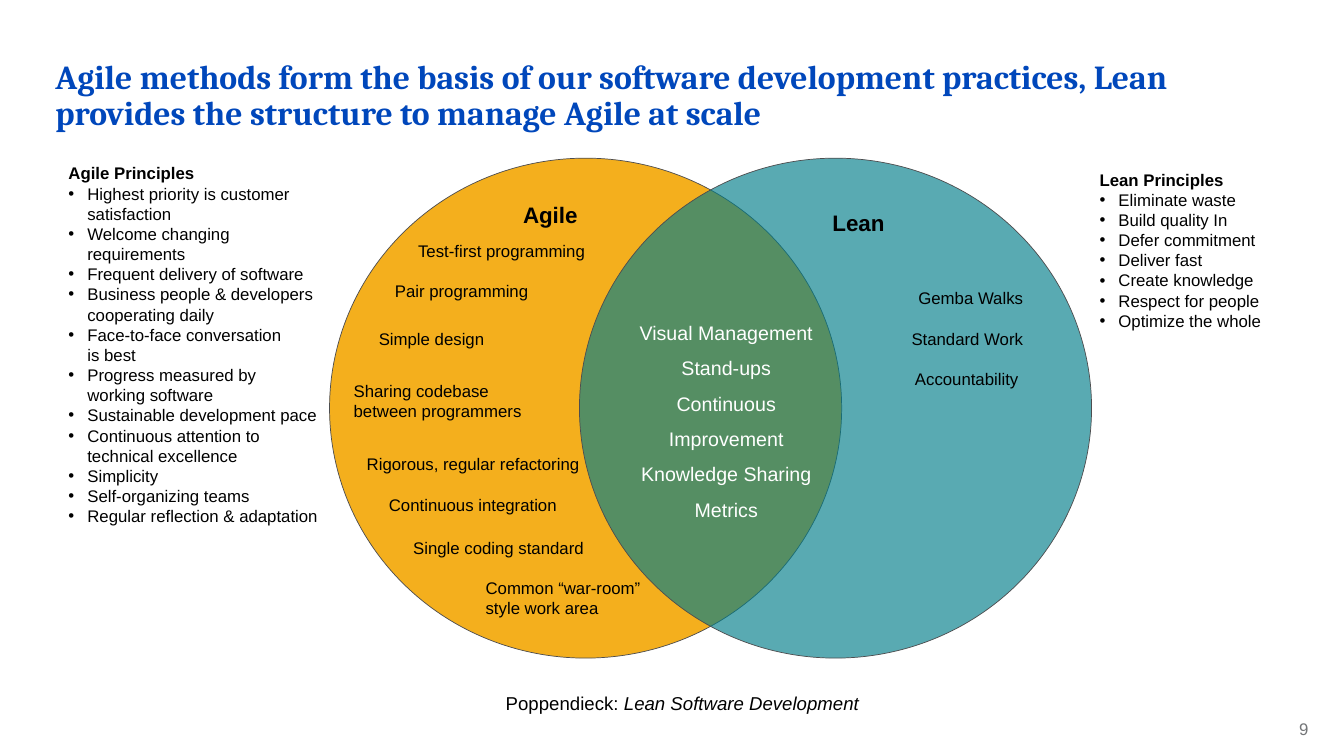
from dataclasses import dataclass

import lxml.etree
import pptx
import pptx.dml.color
import pptx.enum.shapes
import pptx.enum.text
import pptx.oxml.ns
import pptx.util

Pt = pptx.util.Pt
LEFT = pptx.enum.text.PP_ALIGN.LEFT
CENTER = pptx.enum.text.PP_ALIGN.CENTER
RIGHT = pptx.enum.text.PP_ALIGN.RIGHT
BLACK = "000000"
BULLET_INDENT = 13.5


@dataclass
class Circle:
    left: float
    fill: str
    opacity: int = 100


@dataclass
class Label:
    left: float
    top: float
    width: float
    height: float
    lines: list[str]
    size: float = 12
    color: str = BLACK
    font: str = "Arial"
    bold: bool = False
    align: pptx.enum.text.PP_ALIGN = LEFT
    line_spacing: float = 1.0
    gap: float = 0
    wrap: bool = True
    inset: bool = True


@dataclass
class Principles:
    label: Label
    items: list[str]


CIRCLES = [Circle(235.4, "F4AF1D"), Circle(413.9, "007D8A", 65)]

PRACTICES = [
    Label(291.6, 168.5, 194.4, 40.3, ["Test-first programming"]),
    Label(254.9, 320.4, 218.9, 21.6, ["Rigorous, regular refactoring"]),
    Label(270.7, 349.9, 197.3, 21.6, ["Continuous integration"]),
    Label(263.5, 231.1, 146.2, 21.6, ["Simple design"]),
    Label(275, 197.3, 146.2, 21.6, ["Pair programming"]),
    Label(245.5, 268.6, 205.2, 36, ["Sharing codebase", "between programmers"]),
    Label(288, 380.9, 238.3, 21.6, ["Single coding standard"]),
    Label(339.8, 409, 179.3, 36, ["Common “war-room”", "style work area"]),
]

LABELS = [
    Label(439.9, 217.4, 157.7, 246.2,
          ["Visual Management", "Stand-ups", "Continuous Improvement",
           "Knowledge Sharing", "Metrics"],
          size=14, color="FFFFFF", align=CENTER, line_spacing=1.5),
    Label(594, 202.3, 144, 94.3,
          ["Gemba Walks", "Standard Work", "Accountability "],
          align=RIGHT, gap=14.4),
    *PRACTICES,
    Label(39.6, 43.2, 880.6, 73.4,
          ["Agile methods form the basis of our software development practices, "
           "Lean provides the structure to manage Agile at scale"],
          size=24, color="0047BB", font="Cambria", bold=True,
          line_spacing=0.9, inset=False),
    Label(587.5, 146.2, 51.8, 26.6, ["Lean"], size=16, bold=True, wrap=False),
    Label(366.5, 140.4, 54, 26.6, ["Agile"], size=16, bold=True, wrap=False),
    Label(874.8, 514.8, 59.8, 15.1, ["9"], color="747678", align=RIGHT,
          line_spacing=0.9, inset=False),
]

PRINCIPLES = [
    Principles(
        Label(41.8, 113, 193, 418.3, ["Agile Principles"], bold=True),
        ["Highest priority is customer satisfaction",
         "Welcome changing requirements",
         "Frequent delivery of software",
         "Business people & developers cooperating daily",
         "Face-to-face conversation \vis best",
         "Progress measured by working software",
         "Sustainable development pace",
         "Continuous attention to technical excellence",
         "Simplicity",
         "Self-organizing teams",
         "Regular reflection & adaptation"]),
    Principles(
        Label(778.3, 117.4, 185.8, 154.8, ["Lean Principles"], bold=True),
        ["Eliminate waste", "Build quality In", "Defer commitment", "Deliver fast",
         "Create knowledge", "Respect for people", "Optimize the whole"]),
]

SOURCE = Label(354.2, 491, 269.3, 23.8, ["Poppendieck: "], size=13.3, wrap=False)


def rgb(color: str) -> pptx.dml.color.RGBColor:
    return pptx.dml.color.RGBColor.from_string(color)


def draw_circle(slide: pptx.slide.Slide, circle: Circle) -> None:
    shape = slide.shapes.add_shape(
        pptx.enum.shapes.MSO_SHAPE.OVAL,
        Pt(circle.left), Pt(113), Pt(365.8), Pt(357.1))
    shape.shadow.inherit = False
    shape.fill.solid()
    shape.fill.fore_color.rgb = rgb(circle.fill)
    shape.line.color.rgb = rgb("4D4D4F")
    shape.line.width = Pt(0.5)
    if circle.opacity < 100:
        color = shape.fill._xPr.find(".//" + pptx.oxml.ns.qn("a:srgbClr"))
        alpha = lxml.etree.SubElement(color, pptx.oxml.ns.qn("a:alpha"))
        alpha.set("val", str(circle.opacity * 1000))


def style_run(run: pptx.text.text._Run, label: Label, bold: bool) -> None:
    run.font.name = label.font
    run.font.size = Pt(label.size)
    run.font.bold = bold
    run.font.color.rgb = rgb(label.color)


def draw_label(slide: pptx.slide.Slide, label: Label) -> pptx.text.text.TextFrame:
    shape = slide.shapes.add_textbox(
        Pt(label.left), Pt(label.top), Pt(label.width), Pt(label.height))
    text_frame = shape.text_frame
    text_frame.word_wrap = label.wrap
    if not label.inset:
        text_frame.margin_left = text_frame.margin_right = 0
        text_frame.margin_top = text_frame.margin_bottom = 0
    text_frame.text = "\n".join(label.lines)
    for index, paragraph in enumerate(text_frame.paragraphs):
        paragraph.alignment = label.align
        paragraph.line_spacing = label.line_spacing
        if index and label.gap:
            paragraph.space_before = Pt(label.gap)
        for run in paragraph.runs:
            style_run(run, label, label.bold)
    return text_frame


def draw_principles(slide: pptx.slide.Slide, principles: Principles) -> None:
    text_frame = draw_label(slide, principles.label)
    for item in principles.items:
        paragraph = text_frame.add_paragraph()
        paragraph.text = item
        properties = paragraph._p.get_or_add_pPr()
        properties.set("marL", str(Pt(BULLET_INDENT)))
        properties.set("indent", str(-Pt(BULLET_INDENT)))
        font = lxml.etree.SubElement(properties, pptx.oxml.ns.qn("a:buFont"))
        font.set("typeface", "Arial")
        bullet = lxml.etree.SubElement(properties, pptx.oxml.ns.qn("a:buChar"))
        bullet.set("char", "•")
        for run in paragraph.runs:
            style_run(run, principles.label, False)


def draw_source(slide: pptx.slide.Slide) -> None:
    text_frame = draw_label(slide, SOURCE)
    run = text_frame.paragraphs[0].add_run()
    run.text = "Lean Software Development"
    style_run(run, SOURCE, False)
    run.font.italic = True


def main() -> None:
    presentation = pptx.Presentation()
    presentation.slide_width = Pt(960)
    presentation.slide_height = Pt(540)
    slide = presentation.slides.add_slide(presentation.slide_layouts[6])
    for circle in CIRCLES:
        draw_circle(slide, circle)
    for label in LABELS:
        draw_label(slide, label)
    for principles in PRINCIPLES:
        draw_principles(slide, principles)
    draw_source(slide)
    presentation.save("out.pptx")


if __name__ == "__main__":
    main()
